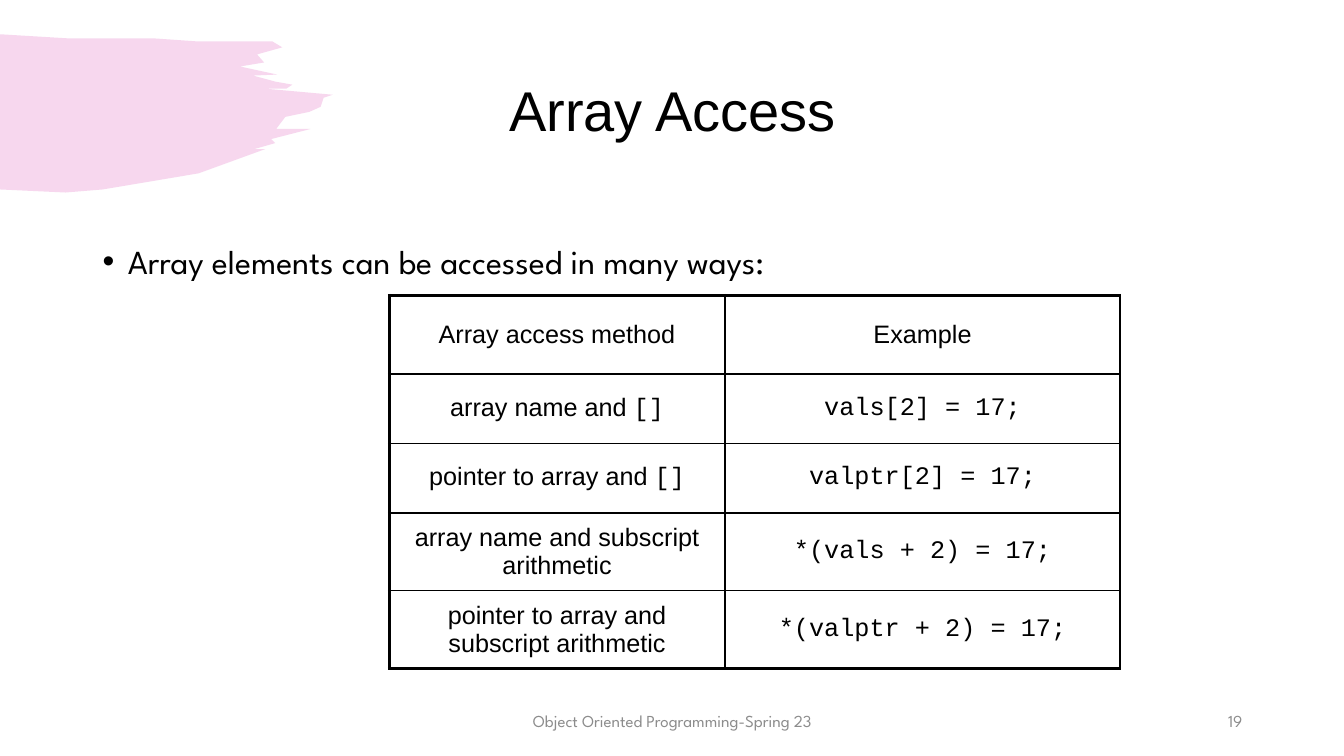
from lxml import etree
from pptx import Presentation
from pptx.dml.color import RGBColor
from pptx.enum.text import MSO_ANCHOR, PP_ALIGN
from pptx.oxml.ns import qn
from pptx.util import Inches, Pt

LEFT, CENTER, RIGHT = PP_ALIGN.LEFT, PP_ALIGN.CENTER, PP_ALIGN.RIGHT
TOP, MIDDLE = MSO_ANCHOR.TOP, MSO_ANCHOR.MIDDLE

COLORS = {"ink": "000000", "muted": "8C8C8C", "brush": "D739AE"}
SANS, CODE, BODY = "Arial", "Courier New", "League Spartan"

# Corners of the brush stroke, relative to its box
BRUSH_OUTLINE = [
    (0.66, 0.04), (1.51, 0.04), (1.94, 0.07), (2.48, 0.07), (2.7, 0.07), (2.8, 0.13),
    (2.55, 0.2), (2.62, 0.28), (2.38, 0.32), (2.75, 0.4), (2.51, 0.41),
    (2.73, 0.47), (2.9, 0.5), (2.84, 0.54), (2.63, 0.54), (3.3, 0.6),
    (3.21, 0.63), (3.18, 0.72), (3.07, 0.77), (2.83, 0.82), (2.74, 0.94),
    (3.08, 0.94), (2.69, 1.04), (2.73, 1.08), (2.52, 1.14), (2.63, 1.14),
    (1.97, 1.38), (1.02, 1.54), (0.65, 1.57), (0, 1.54),
]

COLUMN_WIDTHS = (3.33, 3.92)
ROW_HEIGHTS = (0.78, 0.69, 0.69, 0.77, 0.77)
ACCESS_ROWS = [
    ([("Array access method", SANS)], [("Example", SANS)]),
    ([("array name and ", SANS), ("[]", CODE)], [("vals[2] = 17;", CODE)]),
    ([("pointer to array and ", SANS), ("[]", CODE)], [("valptr[2] = 17;", CODE)]),
    ([("array name and subscript arithmetic", SANS)], [("*(vals + 2) = 17;", CODE)]),
    ([("pointer to array and subscript arithmetic", SANS)], [("*(valptr + 2) = 17;", CODE)]),
]


def rgb(name):
    return RGBColor.from_string(COLORS[name])


def write_runs(paragraph, runs, size, color, align):
    paragraph.alignment = align
    for text, font_name in runs:
        run = paragraph.add_run()
        run.text = text
        run.font.color.rgb = rgb(color)
        for key, value in {"name": font_name, "size": Pt(size)}.items():
            setattr(run.font, key, value)


def add_text(slide, box, text, font, size, color="ink", align=LEFT, anchor=MIDDLE):
    """Place a one-paragraph text box and return its text frame."""
    frame = slide.shapes.add_textbox(*map(Inches, box)).text_frame
    frame.word_wrap = True
    frame.vertical_anchor = anchor
    write_runs(frame.paragraphs[0], [(text, font)], size, color, align)
    return frame


def add_brush(slide, left, top):
    builder = slide.shapes.build_freeform(Inches(left), Inches(top), scale=1.0)
    builder.add_line_segments(
        [(Inches(left + x), Inches(top + y)) for x, y in BRUSH_OUTLINE], close=True
    )
    brush = builder.convert_to_shape()
    brush.shadow.inherit = False
    brush.line.fill.background()
    brush.fill.solid()
    brush.fill.fore_color.rgb = rgb("brush")
    tint = brush.fill._xPr.find(qn("a:solidFill"))[0]
    etree.SubElement(tint, qn("a:alpha"), val="20000")


def add_title(slide, box):
    frame = add_text(slide, box, "Array Access", SANS, 40, align=CENTER)
    frame.paragraphs[0].line_spacing = 0.9


def add_body(slide, box):
    frame = add_text(slide, box, "Array elements can be accessed in many ways:",
                     BODY, 24, anchor=TOP)
    frame.margin_top = Inches(0.19)
    properties = frame.paragraphs[0]._p.get_or_add_pPr()
    properties.set("marL", str(Inches(0.25)))
    properties.set("indent", str(-Inches(0.25)))
    etree.SubElement(properties, qn("a:buFont"), typeface=SANS)
    etree.SubElement(properties, qn("a:buChar"), char="•")


def set_borders(cell, widths):
    properties = cell._tc.get_or_add_tcPr()
    for side, width in widths.items():
        line = etree.SubElement(properties, qn(f"a:ln{side}"), w=str(Pt(width)))
        fill = etree.SubElement(line, qn("a:solidFill"))
        etree.SubElement(fill, qn("a:srgbClr"), val=COLORS["ink"])


def add_access_table(slide, left, top):
    box = (left, top, sum(COLUMN_WIDTHS), sum(ROW_HEIGHTS))
    last_row, last_column = len(ROW_HEIGHTS) - 1, len(COLUMN_WIDTHS) - 1
    table = slide.shapes.add_table(
        last_row + 1, last_column + 1, *map(Inches, box)).table
    table.first_row = table.horz_banding = False
    for column, width in zip(table.columns, COLUMN_WIDTHS):
        column.width = Inches(width)
    for row, height in zip(table.rows, ROW_HEIGHTS):
        row.height = Inches(height)
    for r, entries in enumerate(ACCESS_ROWS):
        for c, runs in enumerate(entries):
            cell = table.cell(r, c)
            cell.vertical_anchor = MIDDLE
            write_runs(cell.text_frame.paragraphs[0], runs, 18, "ink", CENTER)
            outer = {"L": c == 0, "R": c == last_column, "T": r == 0, "B": r == last_row}
            set_borders(cell, {side: 2.25 if edge else 1 for side, edge in outer.items()})
            cell.fill.background()


def add_footer(slide, top, height):
    add_text(slide, (4.42, top, 4.5, height), "Object Oriented Programming-Spring 23",
             BODY, 12, "muted", CENTER)
    add_text(slide, (9.42, top, 3, height), "19", BODY, 12, "muted", RIGHT)


def main():
    deck = Presentation()
    deck.slide_width, deck.slide_height = Inches(13.33), Inches(7.5)
    slide = deck.slides.add_slide(deck.slide_layouts[6])
    add_brush(slide, 0, 0.34)
    add_title(slide, (0.92, 0.4, 11.5, 1.45))
    add_body(slide, (0.92, 2.2, 11.5, 4.55))
    add_footer(slide, 6.95, 0.4)
    add_access_table(slide, 3.86, 2.93)
    deck.save("out.pptx")


if __name__ == "__main__":
    main()
